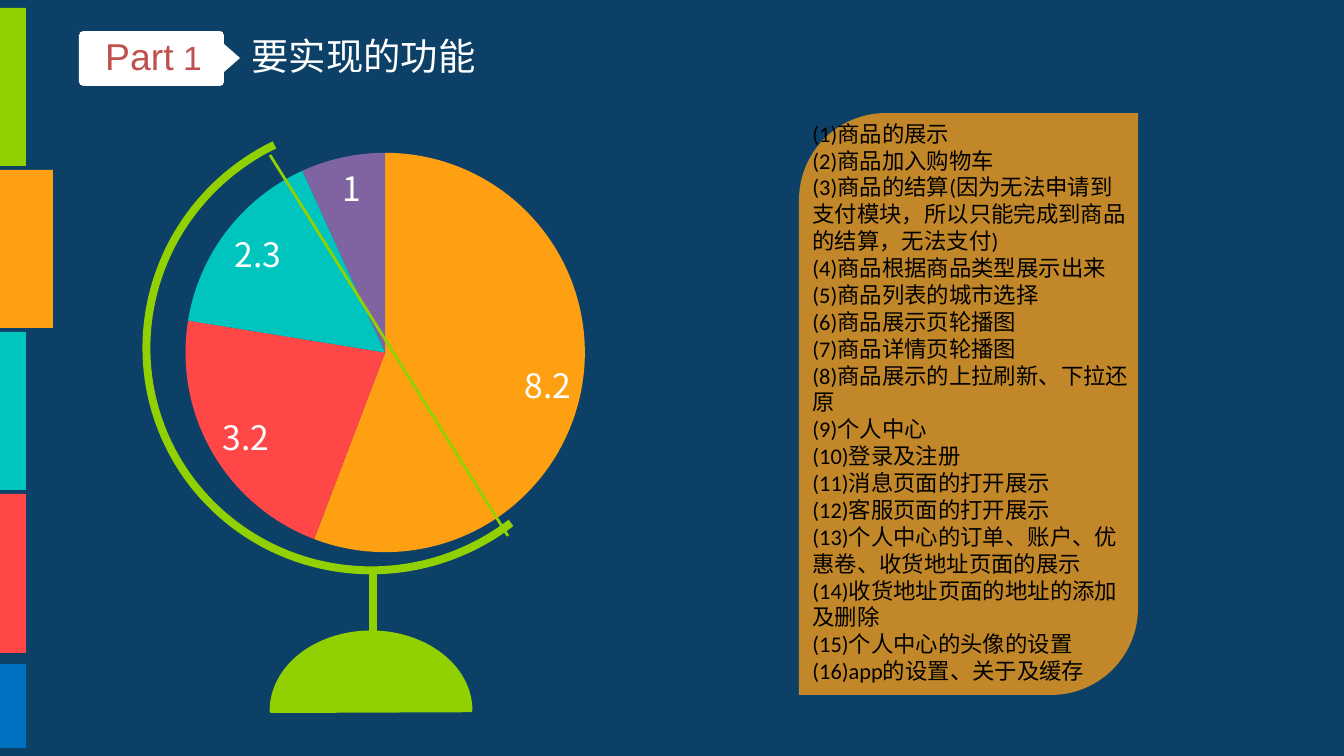
from math import cos, radians, sin

from lxml.etree import SubElement
from pptx import Presentation
from pptx.chart.data import CategoryChartData
from pptx.dml.color import RGBColor as RGB
from pptx.enum.chart import XL_CHART_TYPE as Chart, XL_LABEL_POSITION as Spot
from pptx.enum.shapes import MSO_CONNECTOR as Link, MSO_SHAPE as Kind
from pptx.enum.text import MSO_ANCHOR as Anchor, MSO_AUTO_SIZE as Fit, PP_ALIGN as Align
from pptx.oxml import parse_xml
from pptx.oxml.ns import nsdecls, qn
from pptx.util import Pt

SCALE = 914400 / 134.4  # EMU in one px
CJK = "Noto Sans CJK SC"
HUE = {
    "back": "0C4067", "lime": "91D101", "gold": "FFA013", "teal": "00C5BE",
    "red": "FF4747", "plum": "8064A2", "blue": "0070C0", "brick": "C0504D",
    "white": "FFFFFF", "black": "000000",
}
INK = {name: RGB.from_string(code) for name, code in HUE.items()}


def px(*sizes):
    return [round(size * SCALE) for size in sizes]


def write(para, text, size=12, color="black", font="Calibri", align=Align.LEFT):
    para.alignment = align
    run = para.add_run()
    run.text = text
    run.font.size = Pt(size)
    run.font.name = font
    run.font.color.rgb = INK[color]
    if font == CJK:
        SubElement(run.font._element, qn("a:ea"), typeface=font)


deck = Presentation()
deck.slide_width, deck.slide_height = px(1344, 756)
slide = deck.slides.add_slide(deck.slide_layouts[1])
slide.background.fill.solid()
slide.background.fill.fore_color.rgb = INK["back"]
shapes = slide.shapes
title, body = slide.placeholders

# Pie chart
data = CategoryChartData()
data.categories = ["1", "2", "3", "4"]
data.add_series("Series 1", [8.2, 3.2, 2.3, 1])
pie = shapes.add_chart(Chart.PIE, *px(77, 95, 896, 597), data).chart
pie.has_legend = pie.has_title = False
pie.font.size, pie.font.name = Pt(18), CJK
pie.font.color.rgb = INK["white"]
plot = pie.plots[0]
plot.vary_by_categories = True
for i, color in enumerate(["gold", "red", "teal", "plum"]):
    fmt = plot.series[0].points[i].format
    fmt.fill.solid()
    fmt.fill.fore_color.rgb = INK[color]
    fmt.line.fill.background()
plot.has_data_labels = True
tags = plot.data_labels
tags.show_value = True
tags.position = Spot.BEST_FIT
tags.font.size, tags.font.name = Pt(18), CJK
tags.font.color.rgb = INK["white"]

# Fixed place of the pie within its frame
area = pie._chartSpace.chart.plotArea
for old in area.findall(qn("c:layout")):
    area.remove(old)
rules = '<c:layoutTarget val="inner"/><c:xMode val="edge"/><c:yMode val="edge"/>'
for key, part in zip("xywh", [0.121, 0.097, 0.446, 0.669]):
    rules += f'<c:{key} val="{part}"/>'
area.insert(0, parse_xml(
    f'<c:layout {nsdecls("c")}><c:manualLayout>{rules}</c:manualLayout></c:layout>'))

# Side bars, list panel, globe ring and foot: kind, box, fill, line, turn, adjustments
parts = [
    (Kind.RECTANGLE, (0, 8, 26, 158), "lime", 0, 0, []),
    (Kind.RECTANGLE, (0, 170, 53, 158), "gold", 0, 0, []),
    (Kind.RECTANGLE, (0, 332, 26, 158), "teal", 0, 0, []),
    (Kind.RECTANGLE, (0, 494, 26, 159), "red", 0, 0, []),
    (Kind.RECTANGLE, (0, 664, 26, 84), "blue", 0, 0, []),
    (Kind.ROUND_2_DIAG_RECTANGLE, (799, 113, 339, 582), "gold", 0, 0, [0.256, 0]),
    (Kind.ARC, (146, 122, 454, 448), None, 4.25, 160.4, [151, 50.1]),
    (Kind.CHORD, (293, 611, 156, 199), "lime", 2, 90, [53.73, 162]),
]
for kind, box, fill, line, turn, bends in parts:
    part = shapes.add_shape(kind, *px(*box))
    part.shadow.inherit = False
    part.rotation = turn
    for i, bend in enumerate(bends):
        part.adjustments[i] = bend
    if fill:
        part.fill.solid()
        part.fill.fore_color.rgb = INK[fill]
    else:
        part.fill.background()
    if line:
        part.line.color.rgb = INK["lime"]
        part.line.width = Pt(line)
    else:
        part.line.fill.background()
    if kind == Kind.ROUND_2_DIAG_RECTANGLE:
        tint = part.element.spPr.find(qn("a:solidFill"))[0]
        SubElement(tint, qn("a:alpha"), val="75000")

# Globe axis and stand
for ends, width in [((270, 155, 508, 536), 1.5), ((373, 569, 373, 648), 4.25)]:
    rod = shapes.add_connector(Link.STRAIGHT, *px(*ends))
    rod.line.color.rgb = INK["lime"]
    rod.line.width = Pt(width)
    SubElement(rod.element.spPr, qn("a:effectLst"))

# Part tag: rounded box with a pointer on its right side
dots = []
for x, y, start in [(84, 36, 180), (219, 36, 270), (219, 81, 0), (84, 81, 90)]:
    if start == 0:
        dots += [(224, 44), (240, 58), (224, 72)]
    for step in range(0, 91, 15):
        angle = radians(start + step)
        dots.append((x + 5 * cos(angle), y + 5 * sin(angle)))
pen = shapes.build_freeform(*dots[0], scale=SCALE)
pen.add_line_segments(dots[1:], close=True)
tag = pen.convert_to_shape()
tag.shadow.inherit = False
tag.fill.solid()
tag.fill.fore_color.rgb = INK["white"]
tag.line.fill.background()

label = shapes.add_textbox(*px(87, 27, 133, 58))
label.text_frame.word_wrap = True
label.text_frame.vertical_anchor = Anchor.MIDDLE
for text, size in [("Part", 20), (" 1", 18)]:
    write(label.text_frame.paragraphs[0], text, size=size, color="brick",
          font="Arial", align=Align.CENTER)

# Title and list placeholders, in front of the panel
places = [(title, (238, 26, 392, 59), Anchor.MIDDLE), (body, (799, 113, 349, 583), Anchor.TOP)]
for holder, box, anchor in places:
    holder.left, holder.top, holder.width, holder.height = px(*box)
    holder.text_frame.word_wrap = True
    holder.text_frame.auto_size = Fit.NONE
    holder.text_frame.vertical_anchor = anchor
    shapes.element.append(holder.element)
write(title.text_frame.paragraphs[0], "要实现的功能", size=20, color="white", font=CJK)

items = [
    "商品的展示", "商品加入购物车",
    "商品的结算(因为无法申请到支付模块，所以只能完成到商品的结算，无法支付)",
    "商品根据商品类型展示出来", "商品列表的城市选择", "商品展示页轮播图",
    "商品详情页轮播图", "商品展示的上拉刷新、下拉还原", "个人中心", "登录及注册",
    "消息页面的打开展示", "客服页面的打开展示",
    "个人中心的订单、账户、优惠卷、收货地址页面的展示",
    "收货地址页面的地址的添加及删除", "个人中心的头像的设置", "app的设置、关于及缓存",
]
frame = body.text_frame
for i, item in enumerate(items):
    para = frame.add_paragraph() if i else frame.paragraphs[0]
    write(para, f"({i + 1}){item}")
    para.space_before = Pt(0)
    para.line_spacing = Pt(14.4)
    props = para._p.get_or_add_pPr()
    props.set("marL", "0")
    props.set("indent", "0")
    SubElement(props, qn("a:buNone"))

deck.save("out.pptx")
